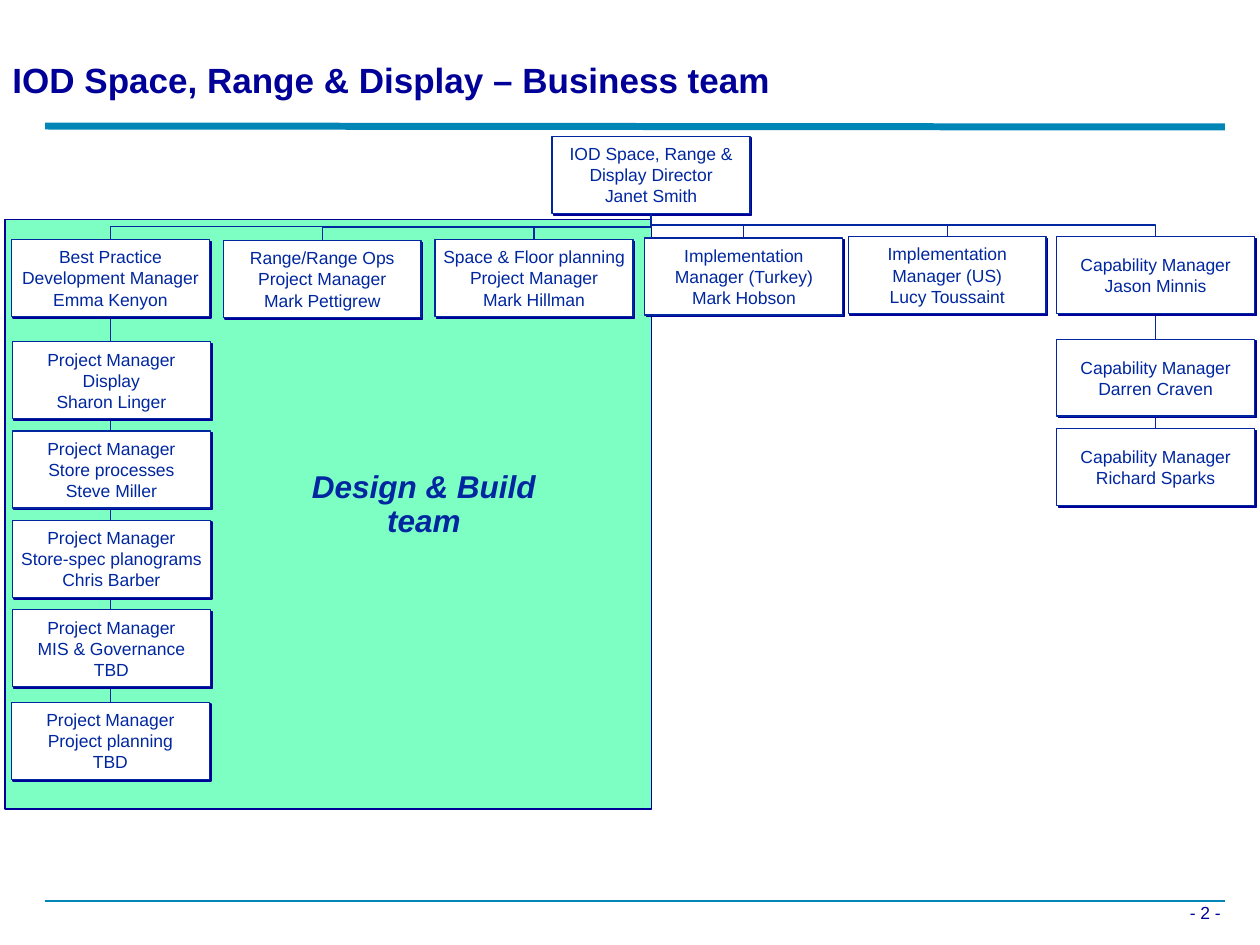
"""Build the organisation chart slide of the Space, Range & Display business team."""
from dataclasses import dataclass

import lxml.etree
import pptx
import pptx.dml.color
import pptx.enum.shapes
import pptx.enum.text
import pptx.oxml
import pptx.oxml.ns
import pptx.util

Cm, Pt = pptx.util.Cm, pptx.util.Pt
ALIGN = pptx.enum.text.PP_ALIGN
ANCHOR = pptx.enum.text.MSO_ANCHOR
CONNECTOR = pptx.enum.shapes.MSO_CONNECTOR
RECT = pptx.enum.shapes.MSO_SHAPE.RECTANGLE

NAVY, BLUE, TEAL, MINT, WHITE = "000099", "00279F", "0086B6", "7DFFC4", "FFFFFF"
BOX_W, BOX_H = 3.99, 1.55
SHADOW = (
    f'<a:outerShdw {pptx.oxml.ns.nsdecls("a")} blurRad="0" dist="17960" dir="2700000" '
    f'algn="ctr" rotWithShape="0"><a:srgbClr val="{NAVY}"/></a:outerShdw>'
)


@dataclass
class Post:
    """One box of the chart, placed in centimetres."""
    x: float
    y: float
    lines: tuple[str, ...]
    pad: float = 0.15


def rgb(color: str) -> pptx.dml.color.RGBColor:
    """Turn a hex string into a colour."""
    return pptx.dml.color.RGBColor.from_string(color)


def write(sp, lines, size: float, color: str, align, anchor, pad, bold=False, italic=False, spacing=None):
    """Put paragraphs in a shape and format them."""
    tf = sp.text_frame
    tf.text = "\n".join(lines)
    tf.word_wrap = True
    tf.auto_size = pptx.enum.text.MSO_AUTO_SIZE.NONE
    tf.vertical_anchor = anchor
    tf.margin_left = tf.margin_right = Cm(pad[0])
    tf.margin_top = tf.margin_bottom = Cm(pad[1])
    for p in tf.paragraphs:
        p.alignment = align
        if spacing:
            p.line_spacing = spacing
        for r in p.runs:
            r.font.name, r.font.size = "Arial", Pt(size)
            r.font.bold, r.font.italic = bold, italic
            r.font.color.rgb = rgb(color)


def add_rect(s, x: float, y: float, w: float, h: float, fill: str, line: str):
    """Add a plain outlined rectangle."""
    sp = s.shapes.add_shape(RECT, Cm(x), Cm(y), Cm(w), Cm(h))
    sp.shadow.inherit = False
    sp.fill.solid()
    sp.fill.fore_color.rgb = rgb(fill)
    sp.line.color.rgb = rgb(line)
    sp.line.width = Pt(0.75)
    return sp


def add_post(s, post: Post):
    """Add a post as a white box with a hard shadow."""
    sp = add_rect(s, post.x, post.y, BOX_W, BOX_H, WHITE, BLUE)
    effects = sp._element.spPr.find(pptx.oxml.ns.qn("a:effectLst"))
    effects.append(pptx.oxml.parse_xml(SHADOW))
    write(sp, post.lines, 10, BLUE, ALIGN.CENTER, ANCHOR.MIDDLE, (post.pad, 0.13))
    return sp


def add_line(s, kind, x1: float, y1: float, x2: float, y2: float, color=BLUE, width=0.75):
    """Add a connector without a shadow."""
    c = s.shapes.add_connector(kind, Cm(x1), Cm(y1), Cm(x2), Cm(y2))
    c.line.color.rgb = rgb(color)
    c.line.width = Pt(width)
    lxml.etree.SubElement(c._element.spPr, pptx.oxml.ns.qn("a:effectLst"))
    return c


def add_branch(s, boss: Post, post: Post):
    """Add an elbow that leaves the boss downwards and enters the post from above."""
    x1, y1 = boss.x + BOX_W / 2, boss.y + BOX_H
    x2, y2 = post.x + BOX_W / 2, post.y
    mid_x, mid_y = (x1 + x2) / 2, (y1 + y2) / 2
    half_w = (y2 - y1) / 2 * (1 if x2 < x1 else -1)
    half_h = abs(x2 - x1) / 2
    c = add_line(s, CONNECTOR.ELBOW, mid_x - half_w, mid_y - half_h, mid_x + half_w, mid_y + half_h)
    degrees = 90 if x2 < x1 else 270
    c._element.spPr.find(pptx.oxml.ns.qn("a:xfrm")).set("rot", str(degrees * 60000))


def add_text(s, x: float, y: float, w: float, h: float, text: str, *args, **kwargs):
    """Add a formatted text box."""
    write(s.shapes.add_textbox(Cm(x), Cm(y), Cm(w), Cm(h)), [text], *args, **kwargs)


DIRECTOR = Post(11.13, 2.75, ("IOD Space, Range & Display Director", "Janet Smith"))
MANAGERS = [
    Post(0.23, 4.83, ("Best Practice Development Manager", "Emma Kenyon")),
    Post(4.5, 4.85, ("Range/Range Ops Project Manager", "Mark Pettigrew")),
    Post(8.77, 4.83, ("Space & Floor planning Project Manager", "Mark Hillman")),
    Post(13, 4.8, ("Implementation Manager (Turkey)", "Mark Hobson")),
    Post(17.1, 4.77, ("Implementation Manager (US)", "Lucy Toussaint")),
    Post(21.3, 4.77, ("Capability Manager", "Jason Minnis")),
]
STEP = 1.8
PROJECTS = [
    Post(0.25, 6.89 + i * STEP, ("Project Manager", area, name), pad)
    for i, (area, name, pad) in enumerate([
        ("Display", "Sharon Linger", 0.15),
        ("Store processes", "Steve Miller", 0.15),
        ("Store-spec planograms", "Chris Barber", 0.05),
        ("MIS & Governance", "TBD", 0.15),
    ])
] + [Post(0.23, 14.16, ("Project Manager", "Project planning", "TBD"))]
CAPABILITY = [
    Post(21.3, 6.84 + i * STEP, ("Capability Manager", name), 0.05)
    for i, name in enumerate(["Darren Craven", "Richard Sparks"])
]


def main():
    """Build and save the slide."""
    prs = pptx.Presentation()
    prs.slide_width, prs.slide_height = Cm(25.4), Cm(19.05)
    s = prs.slides.add_slide(prs.slide_layouts[5])

    title = s.shapes.title
    title.left, title.top, title.width, title.height = Cm(0.25), Cm(0.38), Cm(24.79), Cm(1.75)
    write(title, ["IOD Space, Range & Display – Business team"], 20, NAVY,
          ALIGN.LEFT, ANCHOR.BOTTOM, (0, 0.08), bold=True, spacing=0.97)

    add_line(s, CONNECTOR.STRAIGHT, 0.91, 2.54, 24.69, 2.56, TEAL, 4)
    add_line(s, CONNECTOR.STRAIGHT, 0.91, 18.16, 24.69, 18.16, TEAL, 1)
    add_text(s, 23.37, 17.27, 1.42, 1.42, "- 2 -", 10, NAVY, ALIGN.RIGHT, ANCHOR.BOTTOM, (0.18, 0.08))

    add_rect(s, 0.1, 4.42, 13.03, 11.89, MINT, NAVY)
    stems = [add_line(s, CONNECTOR.STRAIGHT, 0, 0, 0, 0) for _ in range(2)]
    add_post(s, DIRECTOR)
    managers = [add_post(s, post) for post in MANAGERS]
    teams = [[add_post(s, post) for post in team] for team in (PROJECTS, CAPABILITY)]
    for stem, head, team in zip(stems, (managers[0], managers[-1]), teams):
        stem.begin_connect(head, 2)
        stem.end_connect(team[-1], 2)
    for post in MANAGERS:
        add_branch(s, DIRECTOR, post)

    add_text(s, 5.41, 9.37, 6.27, 1.63, "Design & Build team", 18, BLUE, ALIGN.CENTER, ANCHOR.TOP,
             (0.25, 0.13), bold=True, italic=True, spacing=0.9)
    prs.save("out.pptx")


if __name__ == "__main__":
    main()
